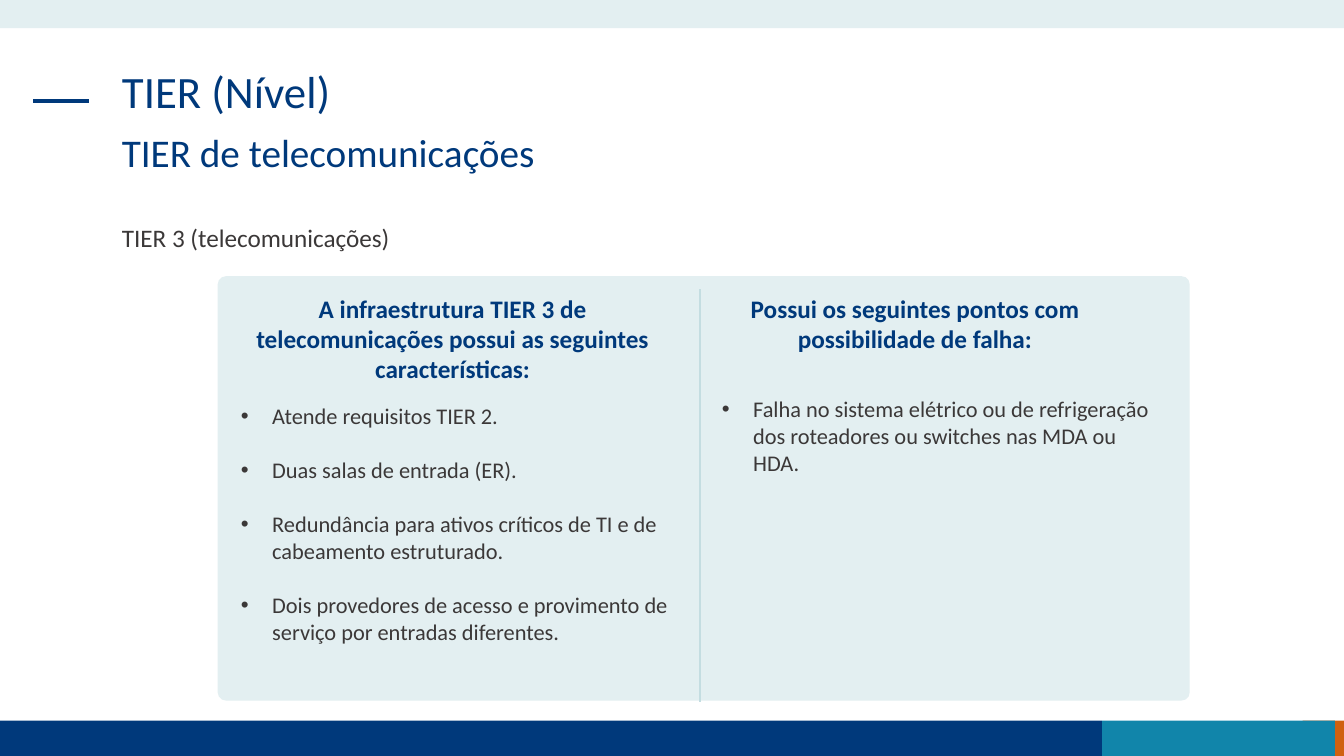
from dataclasses import dataclass

from lxml.etree import SubElement
from pptx import Presentation
from pptx.dml.color import RGBColor
from pptx.enum.shapes import MSO_CONNECTOR as Link, MSO_SHAPE as Kind
from pptx.enum.text import MSO_ANCHOR as Anchor, MSO_AUTO_SIZE as Fit, PP_ALIGN as Align
from pptx.oxml.ns import qn
from pptx.util import Pt

PX = 9144
NAVY = RGBColor(0x00, 0x39, 0x7B)
TEAL = RGBColor(0x11, 0x85, 0xAA)
RUST = RGBColor(0xD0, 0x61, 0x10)
PALE = RGBColor(0xE3, 0xEF, 0xF1)
MIST = RGBColor(0xC4, 0xDD, 0xE1)
GREY = RGBColor(0x3B, 0x38, 0x38)
FACE = "Calibri"
INDENT = 31
GAP = 19.5


@dataclass(frozen=True)
class Box:
    left: int
    top: int
    width: int
    height: int

    def emu(self) -> tuple[int, int, int, int]:
        return self.left * PX, self.top * PX, self.width * PX, self.height * PX


@dataclass(frozen=True)
class Block:
    box: Box
    color: RGBColor
    kind: Kind = Kind.RECTANGLE


@dataclass(frozen=True)
class Rule:
    start: tuple[int, int]
    end: tuple[int, int]
    color: RGBColor
    weight: float


@dataclass(frozen=True)
class Label:
    box: Box
    lines: tuple[str, ...]
    size: int
    color: RGBColor
    bold: bool = False
    align: Align = Align.LEFT
    pitch: float = 1.0
    dots: bool = False


BARS = (
    Block(Box(1292, 715, 41, 35), RUST),
    Block(Box(0, 715, 1093, 35), NAVY),
    Block(Box(1093, 715, 231, 35), TEAL),
    Block(Box(0, 0, 1333, 28), PALE),
)
PANEL = Block(Box(216, 274, 964, 421), PALE, Kind.ROUNDED_RECTANGLE)
RULES = (
    Rule((33, 100), (88, 100), NAVY, 3),
    Rule((694, 287), (694, 696), MIST, 1.5),
)
TITLE = Label(Box(111, 64, 1110, 94), ("TIER (Nível)",), 32, NAVY, pitch=0.9)
LABELS = (
    Label(Box(111, 128, 875, 59), ("TIER de telecomunicações",), 28, NAVY, pitch=0.9),
    Label(Box(111, 216, 1110, 71), ("TIER 3 (telecomunicações)",), 18, GREY),
    Label(
        Box(216, 286, 466, 101),
        ("A infraestrutura TIER 3 de telecomunicações possui as seguintes características:",),
        18, NAVY, bold=True, align=Align.CENTER,
    ),
    Label(
        Box(673, 286, 469, 71),
        ("Possui os seguintes pontos com possibilidade de falha:",),
        18, NAVY, bold=True, align=Align.CENTER,
    ),
)
LISTS = (
    Label(
        Box(229, 394, 471, 252),
        (
            "Atende requisitos TIER 2.",
            "Duas salas de entrada (ER).",
            "Redundância para ativos críticos de TI e de cabeamento estruturado.",
            "Dois provedores de acesso e provimento de serviço por entradas diferentes.",
        ),
        16, GREY, dots=True,
    ),
    Label(
        Box(706, 387, 459, 91),
        ("Falha no sistema elétrico ou de refrigeração dos roteadores ou switches nas MDA ou HDA.",),
        16, GREY, dots=True,
    ),
)


def add_dot(para) -> None:
    props = para._p.get_or_add_pPr()
    props.set("marL", str(INDENT * PX))
    props.set("indent", str(-INDENT * PX))
    SubElement(props, qn("a:buFont")).set("typeface", "Arial")
    SubElement(props, qn("a:buChar")).set("char", "•")


def write(shape, label: Label) -> None:
    shape.left, shape.top, shape.width, shape.height = label.box.emu()
    frame = shape.text_frame
    frame.word_wrap = True
    frame.auto_size = Fit.NONE
    frame.vertical_anchor = Anchor.TOP
    for rank, line in enumerate(label.lines):
        para = frame.add_paragraph() if rank else frame.paragraphs[0]
        if label.dots:
            add_dot(para)
        para.alignment = label.align
        para.line_spacing = label.pitch
        para.space_before = Pt(GAP if rank else 0)
        run = para.add_run()
        run.text = line
        font = run.font
        font.name = FACE
        font.size = Pt(label.size)
        font.bold = label.bold
        font.color.rgb = label.color


def add_block(slide, block: Block):
    shape = slide.shapes.add_shape(block.kind, *block.box.emu())
    shape.shadow.inherit = False
    shape.fill.solid()
    shape.fill.fore_color.rgb = block.color
    shape.line.fill.background()
    return shape


def add_rule(slide, rule: Rule) -> None:
    ends = (side * PX for side in rule.start + rule.end)
    line = slide.shapes.add_connector(Link.STRAIGHT, *ends)
    line.line.color.rgb = rule.color
    line.line.width = Pt(rule.weight)
    SubElement(line._element.spPr, qn("a:effectLst"))


def main() -> None:
    deck = Presentation()
    deck.slide_width, deck.slide_height = 1333 * PX, 750 * PX
    slide = deck.slides.add_slide(deck.slide_layouts[3])
    for bar in BARS:
        add_block(slide, bar)
    panel = add_block(slide, PANEL)
    panel.adjustments[0] = 0.019
    for rule in RULES:
        add_rule(slide, rule)
    write(slide.shapes.title, TITLE)
    for label in LABELS:
        write(slide.shapes.add_textbox(*label.box.emu()), label)
    for slot, label in enumerate(LISTS, 1):
        body = slide.placeholders[slot]
        write(body, label)
        panel._element.addnext(body._element)
    deck.save("out.pptx")


if __name__ == "__main__":
    main()
